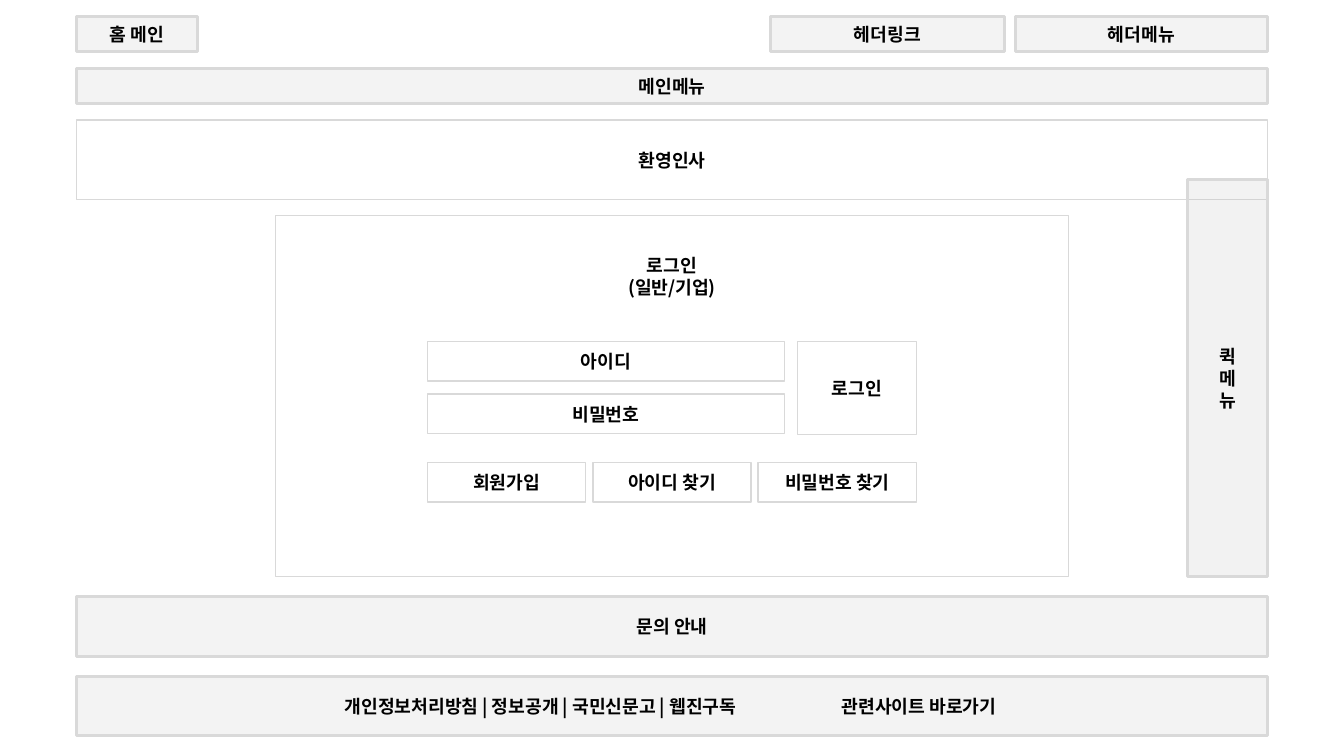
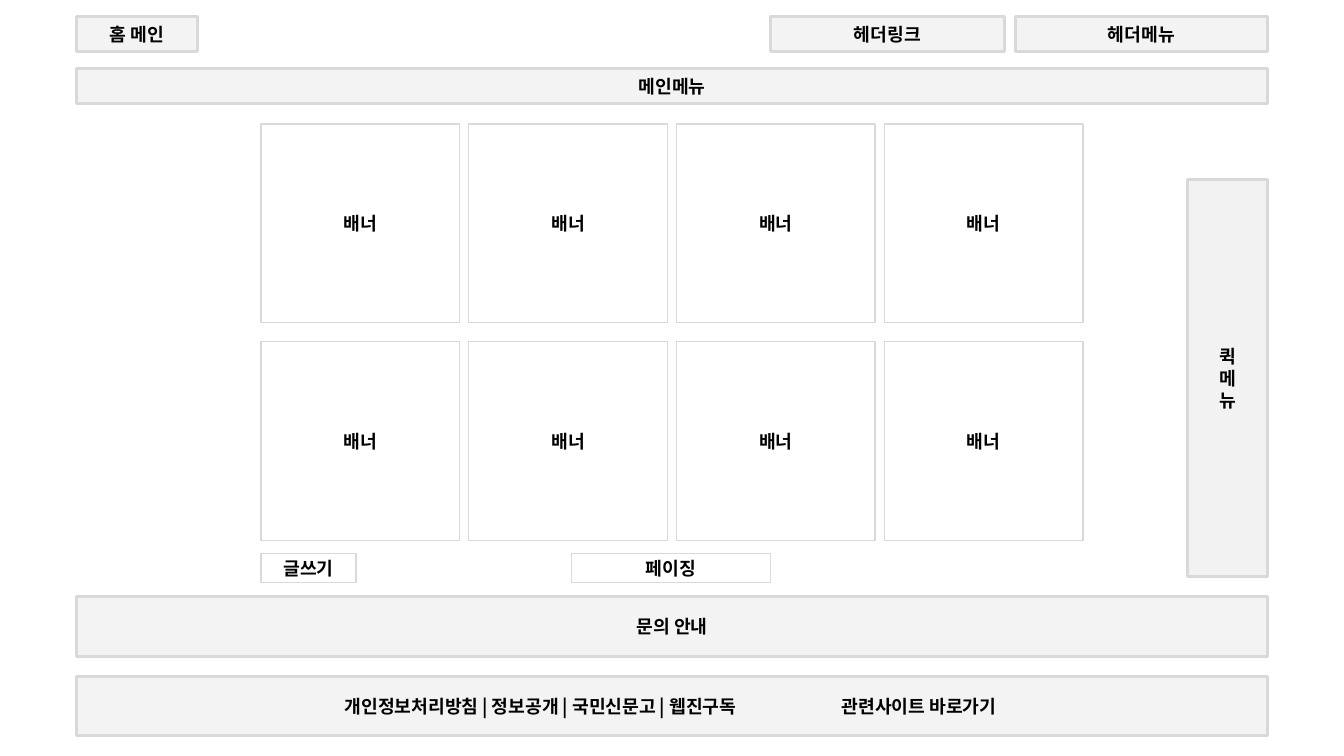
from lxml.etree import SubElement
from pptx import Presentation
from pptx.dml.color import RGBColor
from pptx.enum.shapes import MSO_SHAPE
from pptx.enum.text import MSO_ANCHOR, PP_ALIGN
from pptx.oxml.ns import qn
from pptx.util import Inches, Pt

GRAY = RGBColor(0xD9, 0xD9, 0xD9)
DARK = RGBColor(0xBF, 0xBF, 0xBF)
WHITE = RGBColor(0xFF, 0xFF, 0xFF)
BLACK = RGBColor(0, 0, 0)
FONT = "Noto Sans CJK KR"
SIZE = Pt(13)
LEFT, WIDE = 0.76, 11.81


class Deck:
    def __init__(self):
        self.file = Presentation()
        self.file.slide_width = Inches(13.33)
        self.file.slide_height = Inches(7.5)
        self.slide = None

    def page(self):
        self.slide = self.file.slides.add_slide(self.file.slide_layouts[6])

    def run(self, para, text):
        run = para.add_run()
        run.text = text
        font = run.font
        font.size, font.bold = SIZE, True
        font.color.rgb = BLACK
        font.name = FONT
        SubElement(font._element, qn("a:ea"), typeface=FONT)

    def box(self, left, top, width, height, *lines, fill=WHITE, alpha=None, line=1):
        shape = self.slide.shapes.add_shape(
            MSO_SHAPE.RECTANGLE, Inches(left), Inches(top), Inches(width), Inches(height))
        shape.shadow.inherit = False
        shape.fill.solid()
        shape.fill.fore_color.rgb = fill
        if alpha:
            color = shape._element.spPr.find(qn("a:solidFill"))[0]
            SubElement(color, qn("a:alpha"), val=str(alpha * 1000))
        shape.line.color.rgb = GRAY
        shape.line.width = Pt(line)
        frame = shape.text_frame
        frame.word_wrap = True
        frame.vertical_anchor = MSO_ANCHOR.MIDDLE
        for index, text in enumerate(lines):
            para = frame.add_paragraph() if index else frame.paragraphs[0]
            para.alignment = PP_ALIGN.CENTER
            self.run(para, text)
        return frame

    def band(self, left, top, width, height, *lines, fill=GRAY, alpha=30):
        return self.box(left, top, width, height, *lines, fill=fill, alpha=alpha, line=2)

    def footer(self):
        frame = self.band(LEFT, 6.71, WIDE, 0.59)
        frame.margin_left = Inches(2.66)
        para = frame.paragraphs[0]
        para.alignment = PP_ALIGN.LEFT
        tabs = SubElement(para._p.get_or_add_pPr(), qn("a:tabLst"))
        SubElement(tabs, qn("a:tab"), pos=str(Inches(4.93)), algn="l")
        self.run(para, "개인정보처리방침 | 정보공개 | 국민신문고 | 웹진구독")
        self.run(para, "\t관련사이트 바로가기")

    def common(self):
        self.band(LEFT, 0.16, 1.2, 0.35, "홈 메인")
        self.band(7.64, 0.16, 2.32, 0.35, "헤더링크")
        self.band(10.07, 0.16, 2.5, 0.35, "헤더메뉴")
        self.band(LEFT, 0.68, WIDE, 0.35, "메인메뉴")
        self.band(LEFT, 5.92, WIDE, 0.59, "문의 안내")
        self.footer()
        self.band(11.78, 1.78, 0.79, 3.94, *"퀵메뉴", fill=DARK, alpha=20)


def login(deck):
    deck.page()
    deck.box(LEFT, 1.19, WIDE, 0.79, "환영인사")
    panel = deck.box(2.73, 2.14, 7.87, 3.58, "로그인", "(일반/기업)")
    panel.vertical_anchor = MSO_ANCHOR.TOP
    panel.margin_top = Inches(0.38)
    for row, text in enumerate(("아이디", "비밀번호")):
        deck.box(4.24, 3.39 + row * 0.52, 3.54, 0.39, text)
    deck.box(7.91, 3.39, 1.18, 0.92, "로그인")
    for col, text in enumerate(("회원가입", "아이디 찾기", "비밀번호 찾기")):
        deck.box(4.24 + col * 1.64, 4.59, 1.57, 0.39, text)
    deck.common()


def banners(deck):
    deck.page()
    for row in range(2):
        for col in range(4):
            deck.box(2.59 + col * 2.06, 1.23 + row * 2.16, 1.97, 1.97, "배너")
    deck.box(2.59, 5.49, 0.94, 0.29, "글쓰기")
    deck.box(5.67, 5.49, 1.97, 0.29, "페이징")
    deck.common()


def main():
    deck = Deck()
    login(deck)
    banners(deck)
    deck.file.save("out.pptx")


if __name__ == "__main__":
    main()
